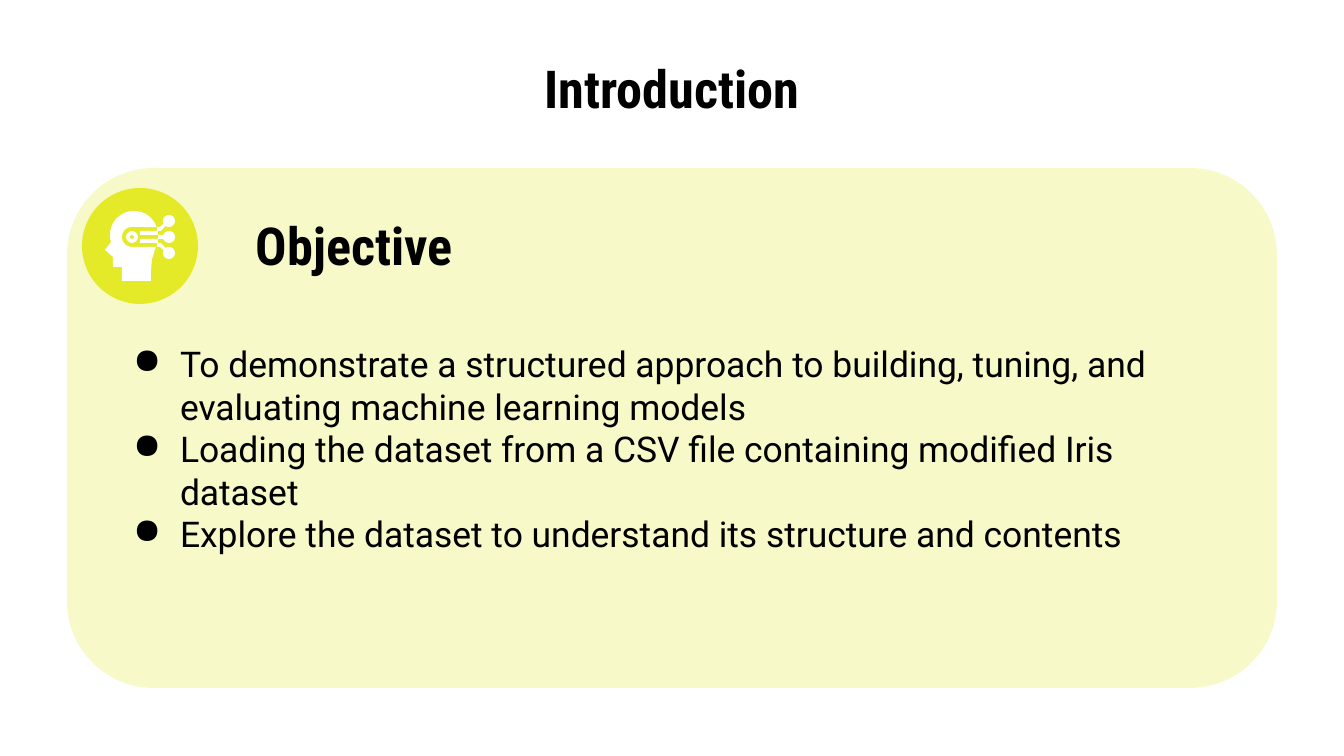
from dataclasses import dataclass
from math import cos, radians, sin

from lxml import etree
from pptx import Presentation
from pptx.dml.color import RGBColor
from pptx.enum.shapes import MSO_SHAPE
from pptx.enum.text import MSO_ANCHOR, PP_ALIGN
from pptx.oxml.ns import qn
from pptx.util import Emu, Pt

ROUND, OVAL = MSO_SHAPE.ROUNDED_RECTANGLE, MSO_SHAPE.OVAL
RECT, RING = MSO_SHAPE.RECTANGLE, MSO_SHAPE.DONUT
TOP, MIDDLE = MSO_ANCHOR.TOP, MSO_ANCHOR.MIDDLE
LEFT, CENTER = PP_ALIGN.LEFT, PP_ALIGN.CENTER
SCALE = 914400 / 134.4


@dataclass(frozen=True)
class Theme:
    ink: str = "000000"
    lime: str = "E4EA27"
    white: str = "FFFFFF"
    tint: int = 25
    head: str = "Roboto Condensed"
    body: str = "Roboto"
    big: int = 28
    text: int = 19


THEME = Theme()
GOALS = [
    "To demonstrate a structured approach to building, tuning, and "
    "evaluating machine learning models",
    "Loading the dataset from a CSV file containing modified Iris dataset",
    "Explore the dataset to understand its structure and contents",
]


def px(n):
    return Emu(round(n * SCALE))


def paint(shape, color):
    shape.shadow.inherit = False
    shape.fill.solid()
    shape.fill.fore_color.rgb = RGBColor.from_string(color)
    shape.line.fill.background()
    return shape


def add_part(slide, kind, x, y, w, h, color):
    return paint(slide.shapes.add_shape(kind, px(x), px(y), px(w), px(h)), color)


def add_path(slide, x, y, points, color):
    spots = [(px(x + a), px(y + b)) for a, b in points]
    path = slide.shapes.build_freeform(*spots[0])
    path.add_line_segments(spots[1:])
    return paint(path.convert_to_shape(), color)


def arc(x, y, r, start, end, steps=24):
    turns = [radians(start + (end - start) * i / steps) for i in range(steps + 1)]
    return [(x + r * cos(t), y + r * sin(t)) for t in turns]


def add_text(slide, box, lines, face, size, bold=False, align=LEFT, anchor=MIDDLE):
    frame = slide.shapes.add_textbox(*map(px, box)).text_frame
    frame.word_wrap = True
    frame.vertical_anchor = anchor
    frame.margin_left = frame.margin_right = px(13)
    frame.margin_top = frame.margin_bottom = px(13)
    frame.text = "\n".join(lines)
    for para in frame.paragraphs:
        para.alignment = align
        font = para.font
        font.name, font.size, font.bold = face, Pt(size), bold
        font.color.rgb = RGBColor.from_string(THEME.ink)
    return frame


def add_dots(frame):
    for para in frame.paragraphs:
        props = para._p.get_or_add_pPr()
        props.set("marL", str(px(47)))
        props.set("indent", str(px(-51)))
        # Bullet marks come before the default run style
        dot = etree.Element(qn("a:buChar"), char="●")
        props.insert(0, dot)


def add_badge(slide, x, y, size):
    add_part(slide, OVAL, x, y, size, size, THEME.lime)

    # Head in profile, with a slot for the eye
    skull = arc(52, 47, 24, -19, -197)
    face = [(23, 62), (31, 69), (31, 79), (40, 79), (40, 93)]
    neck = [(69, 93), (69, 83), (70, 71), (74, 59)]
    slot = arc(50, 49, 10, 90, 270)
    add_path(slide, x, y, skull + face + neck + slot, THEME.white)

    # Eye and its two wires
    eye = add_part(slide, RING, x + 44, y + 43, 12, 12, THEME.white)
    eye.adjustments[0] = 0.33
    for top in (43, 51):
        add_part(slide, RECT, x + 58, y + top, 18, 4, THEME.white)

    # Three nodes with stems; the lower one mirrors the upper
    upper = [(78, 39), (75, 39), (75, 43), (79, 43)] + arc(87, 33, 6, 124, -207)
    centre = [(76, 47), (76, 51)] + arc(87, 49, 6, 160, -160)
    lower = [(a, 98 - b) for a, b in upper]
    for node in (upper, centre, lower):
        add_path(slide, x, y, node, THEME.white)


def add_panel(slide, x, y, w, h):
    # Tinted card
    card = add_part(slide, ROUND, x, y, w, h, THEME.lime)
    card.adjustments[0] = 0.167
    color = card.fill._xPr.find(qn("a:solidFill"))[0]
    etree.SubElement(color, qn("a:alpha"), val=str(THEME.tint * 1000))

    # Badge, heading and goals
    add_badge(slide, x + 15, y + 20, 116)
    add_text(slide, (x + 176, y + 31, 563, 91), ["Objective"],
             THEME.head, THEME.big, bold=True)
    goals = add_text(slide, (x + 53, y + 161, 1056, 261), GOALS,
                     THEME.body, THEME.text, anchor=TOP)
    add_dots(goals)


def main():
    deck = Presentation()
    deck.slide_width, deck.slide_height = px(1344), px(756)
    slide = deck.slides.add_slide(deck.slide_layouts[6])
    add_text(slide, (67, 60, 1210, 55), ["Introduction"],
             THEME.head, THEME.big, bold=True, align=CENTER)
    add_panel(slide, 67, 168, 1210, 520)
    deck.save("out.pptx")


if __name__ == "__main__":
    main()
